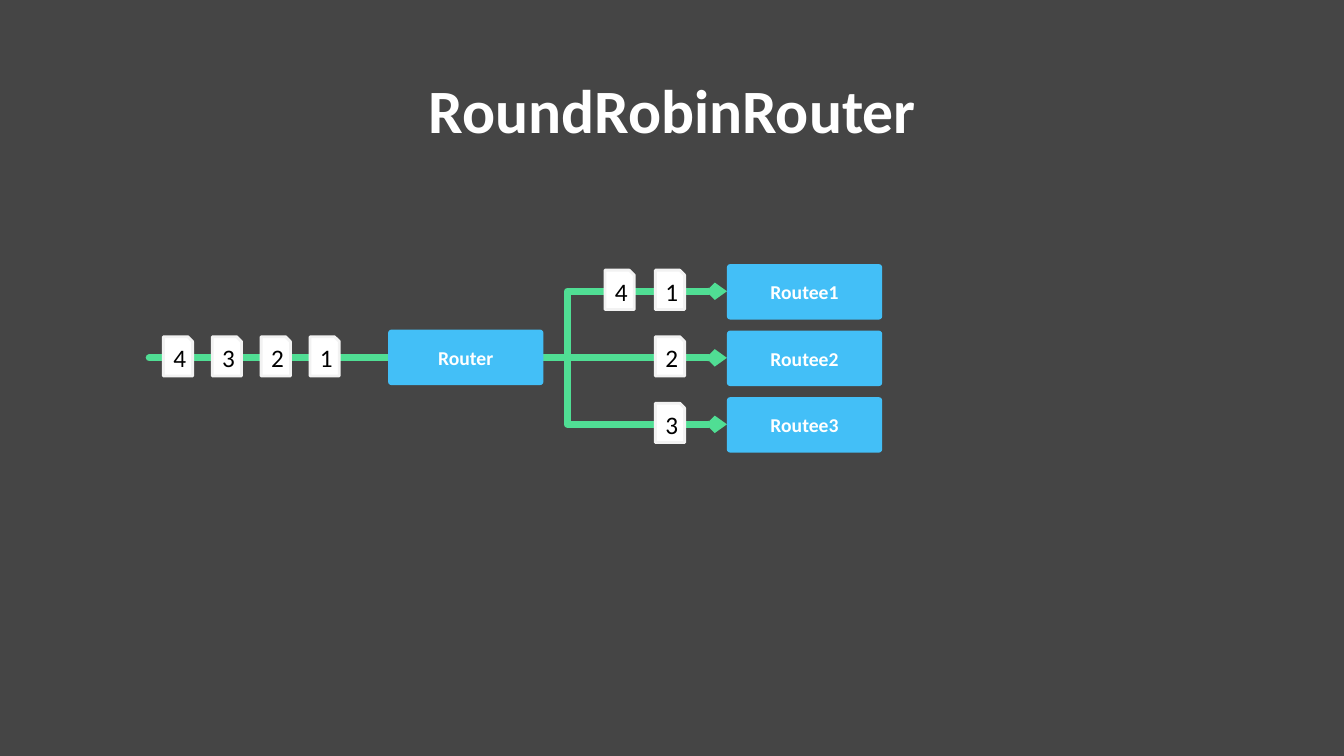
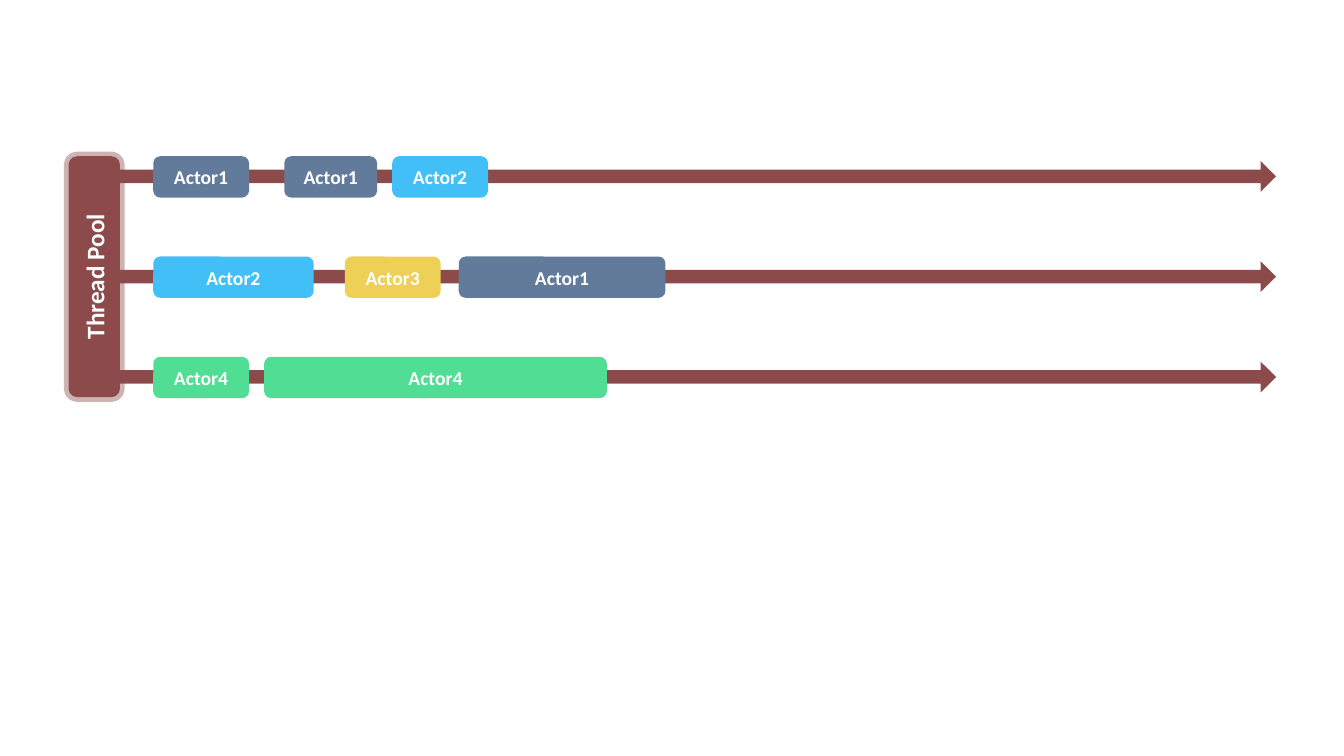
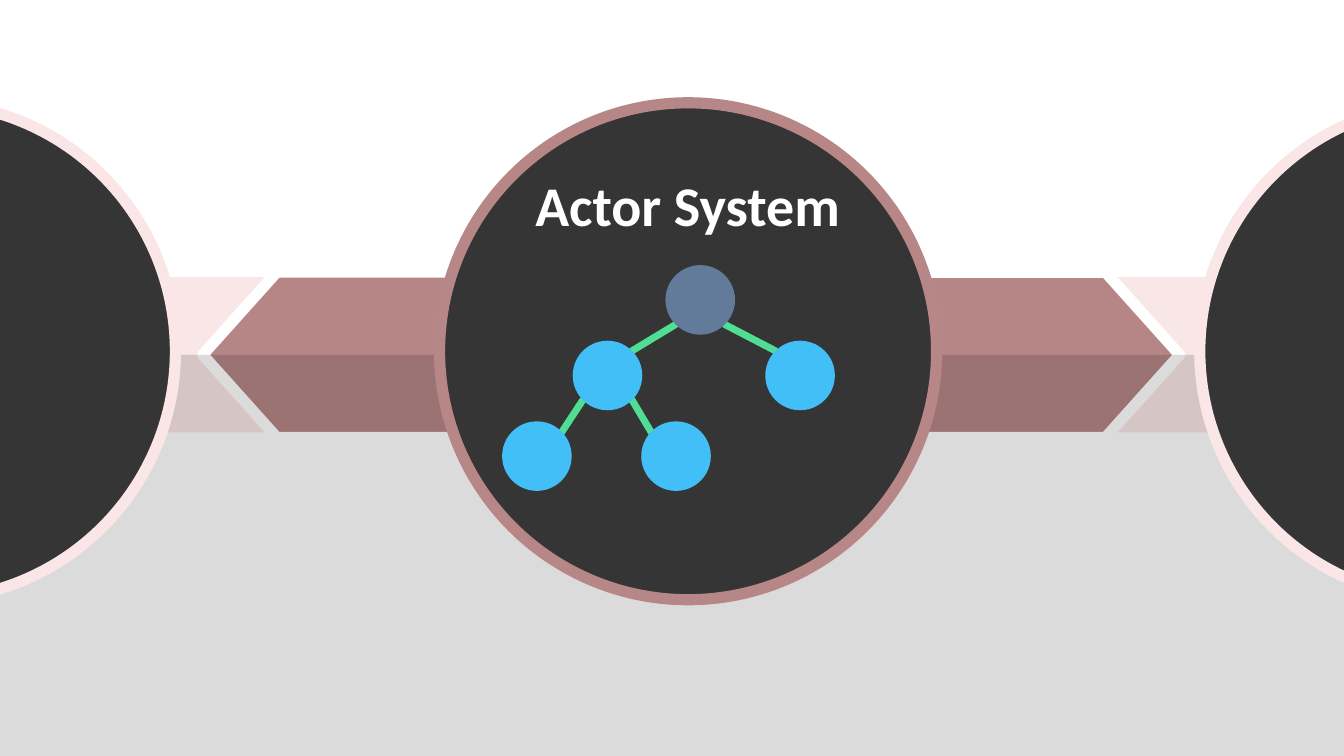
"""Build three slides on actor routing, thread pools and actor systems."""
import lxml.etree
import pptx
import pptx.dml.color
import pptx.enum.shapes
import pptx.enum.text
import pptx.oxml.ns
import pptx.util

Inches = pptx.util.Inches
Pt = pptx.util.Pt
RGBColor = pptx.dml.color.RGBColor
Shape = pptx.enum.shapes.MSO_SHAPE
Connector = pptx.enum.shapes.MSO_CONNECTOR
Align = pptx.enum.text.PP_ALIGN
Anchor = pptx.enum.text.MSO_ANCHOR
qn = pptx.oxml.ns.qn

WHITE = RGBColor(0xFF, 0xFF, 0xFF)
BLACK = RGBColor(0x00, 0x00, 0x00)
CHARCOAL = RGBColor(0x45, 0x45, 0x45)
DISC = RGBColor(0x35, 0x35, 0x35)
CARD_EDGE = RGBColor(0xF2, 0xF2, 0xF2)
GREEN = RGBColor(0x50, 0xDE, 0x94)
BLUE = RGBColor(0x43, 0xBF, 0xF7)
SLATE = RGBColor(0x63, 0x7B, 0x9B)
YELLOW = RGBColor(0xED, 0xD0, 0x55)
MAROON = RGBColor(0x8C, 0x4A, 0x4A)
RED = RGBColor(0xDB, 0x51, 0x51)
ROSE = RGBColor(0xB7, 0x86, 0x86)
BLUSH = RGBColor(0xFA, 0xE6, 0xE6)


class Painter:
    """Hold the deck style and the current page."""

    font = "Calibri"
    title_layout = 5
    blank_layout = 6

    def __init__(self):
        self.deck = pptx.Presentation()
        self.deck.slide_width = Inches(13.33)
        self.deck.slide_height = Inches(7.5)
        self.page = None

    def new_page(self, background, title=None):
        layout = self.title_layout if title else self.blank_layout
        self.page = self.deck.slides.add_slide(self.deck.slide_layouts[layout])
        self.page.background.fill.solid()
        self.page.background.fill.fore_color.rgb = background
        if title:
            box = self.page.shapes.title
            box.left, box.top = Inches(0.92), Inches(0.4)
            box.width, box.height = Inches(11.5), Inches(1.45)
            self.add_text(box, title, 44)
            box.text_frame.paragraphs[0].line_spacing = 0.9

    def add_text(self, box, text, size, color=WHITE, bold=True, anchor=Anchor.MIDDLE):
        frame = box.text_frame
        frame.word_wrap = True
        frame.vertical_anchor = anchor
        para = frame.paragraphs[0]
        para.alignment = Align.CENTER
        span = para.add_run()
        span.text = text
        span.font.name = self.font
        span.font.size = Pt(size)
        span.font.bold = bold
        span.font.color.rgb = color

    def fade(self, paint, percent):
        color = paint.find(".//" + qn("a:srgbClr"))
        lxml.etree.SubElement(color, qn("a:alpha"), val=str(percent * 1000))

    def label(self, text, left, top, width, height, size):
        box = self.page.shapes.add_textbox(
            Inches(left), Inches(top), Inches(width), Inches(height))
        self.add_text(box, text, size, anchor=Anchor.TOP)

    def shape(self, kind, left, top, width, height, fill=None, edge=None,
              weight=8, opacity=100, edge_opacity=100, rotation=0, adjust=()):
        shape = self.page.shapes.add_shape(
            kind, Inches(left), Inches(top), Inches(width), Inches(height))
        shape.shadow.inherit = False
        shape.rotation = rotation
        for index, value in enumerate(adjust):
            shape.adjustments[index] = value
        properties = shape._element.spPr
        if fill is None:
            shape.fill.background()
        else:
            shape.fill.solid()
            shape.fill.fore_color.rgb = fill
            if opacity < 100:
                self.fade(properties.find(qn("a:solidFill")), opacity)
        if edge is None:
            shape.line.fill.background()
        else:
            shape.line.color.rgb = edge
            shape.line.width = Pt(weight)
            if edge_opacity < 100:
                self.fade(properties.find(qn("a:ln")), edge_opacity)
        return shape

    def block(self, text, left, top, width, height, fill, corner=0.167):
        shape = self.shape(Shape.ROUNDED_RECTANGLE, left, top, width, height,
                           fill, adjust=(corner,))
        self.add_text(shape, text, 14)

    def card(self, number, left, top):
        shape = self.shape(Shape.SNIP_1_RECTANGLE, left, top, 0.29, 0.39,
                           WHITE, CARD_EDGE, 2)
        self.add_text(shape, str(number), 18, BLACK, False)

    def disc(self, left, top, size, fill, edge=None):
        self.shape(Shape.OVAL, left, top, size, size, fill, edge)

    def lane(self, left, top, width, height):
        shape = self.shape(Shape.RIGHT_ARROW, left, top, width, height,
                           edge=MAROON, weight=6.75)
        outline = shape._element.spPr.find(qn("a:ln"))
        lxml.etree.SubElement(outline, qn("a:miter"), lim="800000")

    def link(self, start, end, arrow=False, bend=None):
        kind = Connector.STRAIGHT if bend is None else Connector.ELBOW
        link = self.page.shapes.add_connector(
            kind, *(Inches(value) for value in start + end))
        link.line.color.rgb = GREEN
        link.line.width = Pt(5)
        properties = link._element.spPr
        outline = properties.find(qn("a:ln"))
        outline.set("cap", "rnd")
        if arrow:
            lxml.etree.SubElement(outline, qn("a:tailEnd"),
                                  type="arrow", w="sm", len="sm")
        if bend is not None:
            guides = properties.find(qn("a:prstGeom")).find(qn("a:avLst"))
            lxml.etree.SubElement(guides, qn("a:gd"), name="adj1",
                                  fmla=f"val {round(bend * 100000)}")
        lxml.etree.SubElement(properties, qn("a:effectLst"))


def draw_router(painter):
    painter.new_page(CHARCOAL, "RoundRobinRouter")
    middle, pitch = 3.55, 0.66
    routee_left, box_width, box_height = 7.21, 1.54, 0.55
    for step, bend in ((1, 0.13), (-1, 0.13), (0, None)):
        painter.link((5.39, middle), (routee_left, middle + step * pitch), True, bend)
    painter.link((1.48, middle), (3.85, middle))
    for position, number in enumerate((4, 3, 2, 1)):
        painter.card(number, 1.62 + position * 0.485, 3.34)
    for number, left, row in ((1, 6.5, 0), (2, 6.5, 1), (3, 6.5, 2), (4, 6, 0)):
        painter.card(number, left, 2.68 + row * pitch)
    painter.block("Router", 3.85, 3.27, box_width, box_height, BLUE, 0.06)
    for row in range(3):
        painter.block(f"Routee{row + 1}", routee_left, 2.62 + row * pitch,
                      box_width, box_height, BLUE, 0.06)


def draw_thread_pool(painter):
    painter.new_page(WHITE)
    actor_colors = {1: SLATE, 2: BLUE, 3: YELLOW, 4: GREEN}
    threads = (
        ((1, 1.52, 0.95), (1, 2.82, 0.92), (2, 3.89, 0.95)),
        ((2, 1.52, 1.59), (3, 3.42, 0.95), (1, 4.55, 2.05)),
        ((4, 1.52, 0.95), (4, 2.62, 3.4)),
    )
    for row, tasks in enumerate(threads):
        top = 1.71 + row * 0.995
        painter.lane(1.19, top, 11.4, 0.08)
        for actor, left, width in tasks:
            painter.block(f"Actor{actor}", left, top - 0.16, width, 0.41,
                          actor_colors[actor])
    pool = painter.shape(Shape.ROUNDED_RECTANGLE, -0.26, 2.49, 2.39, 0.51,
                         MAROON, MAROON, 6.75, edge_opacity=41, rotation=270)
    painter.add_text(pool, "Thread Pool", 18)


def draw_actor_system(painter):
    painter.new_page(WHITE)
    painter.shape(Shape.RECTANGLE, -0.47, 2.75, 15.84, 1.54, RED, opacity=14)
    for left, rotation in ((9.5, 270), (2.57, 90)):
        painter.shape(Shape.DOWN_ARROW, left, 2.14, 1.64, 2.76, MAROON, WHITE,
                      opacity=61, rotation=rotation, adjust=(1, 0.448))
    painter.shape(Shape.RECTANGLE, 0, 3.52, 13.33, 4.11, BLACK, opacity=14)
    for left, edge in ((11.9, BLUSH), (-3.19, BLUSH), (4.36, ROSE)):
        painter.disc(left, 1.02, 4.93, DISC, edge)
    for start, end in (
        ((6.7, 3.22), (6.27, 3.48)),
        ((5.78, 3.97), (5.57, 4.29)),
        ((6.27, 3.97), (6.46, 4.29)),
        ((7.19, 3.22), (7.69, 3.48)),
    ):
        painter.link(start, end)
    painter.label("Actor System", 5.17, 1.64, 3.3, 0.77, 40)
    painter.disc(6.6, 2.63, 0.69, SLATE)
    for left, top in ((6.36, 4.18), (4.98, 4.18), (5.68, 3.38), (7.59, 3.38)):
        painter.disc(left, top, 0.69, BLUE)


painter = Painter()
draw_router(painter)
draw_thread_pool(painter)
draw_actor_system(painter)
painter.deck.save("out.pptx")
